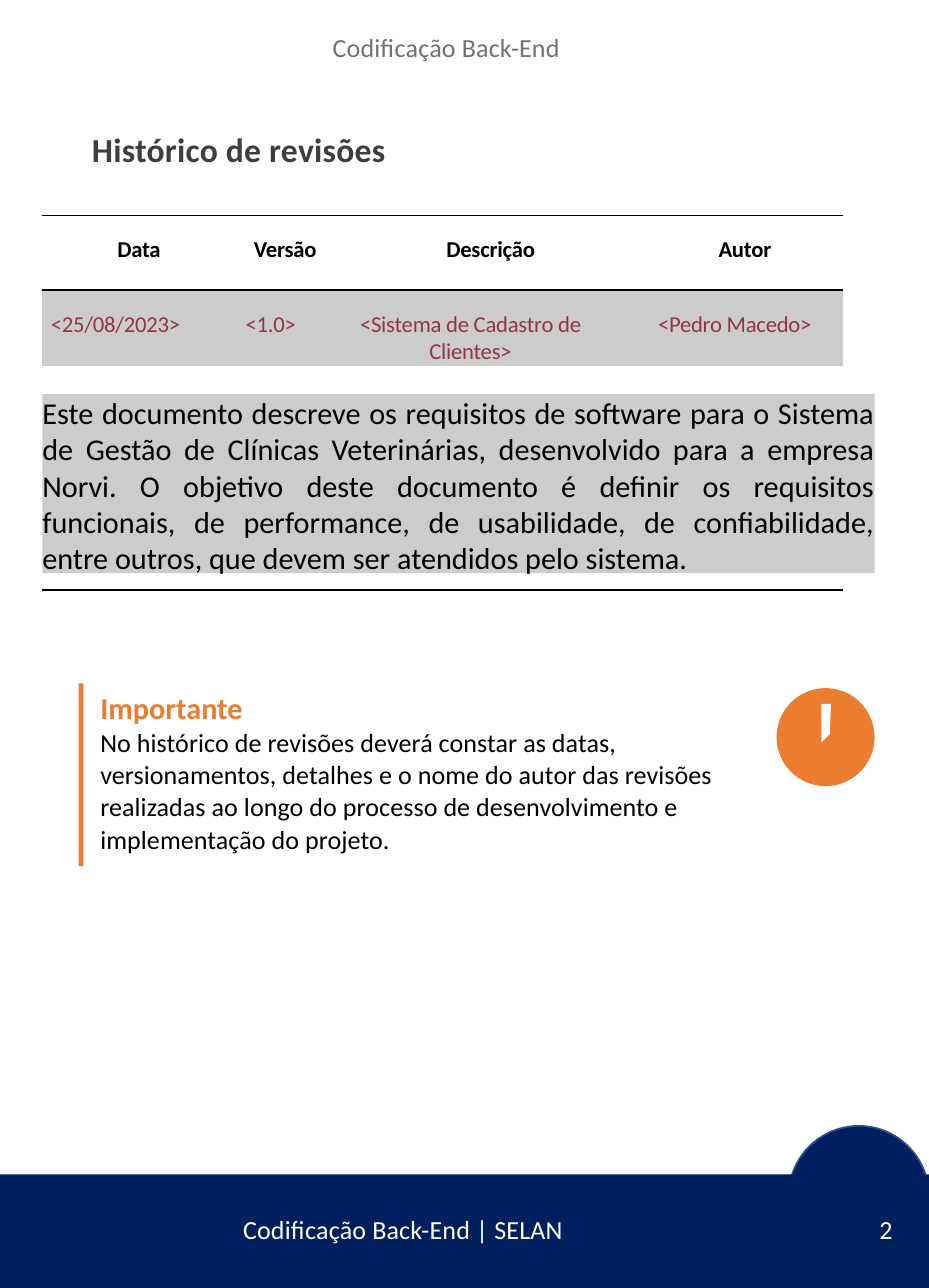
import pptx
import pptx.util
import pptx.dml.color
import pptx.enum.shapes
import pptx.enum.text
import pptx.oxml
import pptx.oxml.ns

Inches = pptx.util.Inches
Pt = pptx.util.Pt
RGB = pptx.dml.color.RGBColor
SHAPE = pptx.enum.shapes.MSO_SHAPE
ALIGN = pptx.enum.text.PP_ALIGN

NAVY = RGB(0x00, 0x1F, 0x5F)
EDGE = RGB(0x2E, 0x52, 0x8F)
ORANGE = RGB(0xEC, 0x7C, 0x30)
SILVER = RGB(0xCC, 0xCC, 0xCC)
GREY = RGB(0x76, 0x70, 0x70)
DARK = RGB(0x3E, 0x3E, 0x3E)
WINE = RGB(0x93, 0x35, 0x46)
BLACK = RGB(0, 0, 0)
WHITE = RGB(255, 255, 255)

WIDE, HIGH = 7.68, 10.65
LEFT = 0.35
COLS = [1.38, 1, 2.21, 2.03]
ROWS = [0.62, 0.63]

HEAD = ["Data", "Versão", "Descrição", "Autor"]
BODY = ["<25/08/2023>", "<1.0>", "<Sistema de Cadastro de Clientes>",
        "<Pedro Macedo>"]
PADS = [[0.62, 0.37, 0.96, 1], [0.07, 0.3, 0.11, 0.5]]
ABOUT = ("Este documento descreve os requisitos de software para o Sistema "
         "de Gestão de Clínicas Veterinárias, desenvolvido para a empresa "
         "Norvi. O objetivo deste documento é definir os requisitos "
         "funcionais, de performance, de usabilidade, de confiabilidade, "
         "entre outros, que devem ser atendidos pelo sistema.")
NOTE = ("No histórico de revisões deverá constar as datas, versionamentos, "
        "detalhes e o nome do autor das revisões realizadas ao longo do "
        "processo de desenvolvimento e implementação do projeto.")


def apply(item, form):
    for name, value in form.items():
        setattr(item, name, value)


def write(par, text, size, color, bold=False, space=0, **form):
    """Fill a paragraph with one run; space is tracking in points."""
    apply(par, form)
    run = par.add_run()
    run.text = text
    apply(run.font, {"name": "Calibri", "size": Pt(size), "bold": bold})
    run.font.color.rgb = color
    if space:
        run.font._element.set("spc", str(round(space * 100)))


def frame(shape):
    """Give a shape a wrapping text frame without margins."""
    body = shape.text_frame
    apply(body, {"word_wrap": True, "margin_left": 0, "margin_right": 0,
                 "margin_top": 0, "margin_bottom": 0,
                 "vertical_anchor": pptx.enum.text.MSO_ANCHOR.TOP})
    return body


def label(slide, x, y, w, h, *args, **form):
    box = slide.shapes.add_textbox(Inches(x), Inches(y), Inches(w), Inches(h))
    body = frame(box)
    write(body.paragraphs[0], *args, **form)
    return body


def paint(shape, fill, line=None):
    shape.shadow.inherit = False
    shape.fill.solid()
    shape.fill.fore_color.rgb = fill
    if line is None:
        shape.line.fill.background()
    else:
        shape.line.color.rgb = line
        shape.line.width = Pt(1)


def block(shapes, kind, x, y, w, h, fill, line=None):
    shape = shapes.add_shape(kind, Inches(x), Inches(y), Inches(w), Inches(h))
    paint(shape, fill, line)
    return shape


def rule(slide, x, y, w):
    line = slide.shapes.add_connector(
        pptx.enum.shapes.MSO_CONNECTOR.STRAIGHT,
        Inches(x), Inches(y), Inches(x + w), Inches(y))
    line.line.color.rgb = BLACK
    line.line.width = Pt(1)
    line._element.spPr.append(pptx.oxml.parse_xml(
        "<a:effectLst %s/>" % pptx.oxml.ns.nsdecls("a")))


def border(cell):
    """Draw a black top edge and clear the other three."""
    props = cell._tc.get_or_add_tcPr()
    for spot, side in enumerate(["lnL", "lnR", "lnT", "lnB"]):
        ink = "<a:noFill/>"
        if side == "lnT":
            ink = f'<a:solidFill><a:srgbClr val="{str(BLACK)}"/></a:solidFill>'
        props.insert(spot, pptx.oxml.parse_xml(
            '<a:%s w="12700" %s>%s</a:%s>'
            % (side, pptx.oxml.ns.nsdecls("a"), ink, side)))


def grid(slide):
    table = slide.shapes.add_table(
        2, 4, Inches(LEFT), Inches(1.78),
        Inches(sum(COLS)), Inches(sum(ROWS))).table
    apply(table, {"first_row": False, "horz_banding": False})
    for col, w in zip(table.columns, COLS):
        col.width = Inches(w)
    for row, h in zip(table.rows, ROWS):
        row.height = Inches(h)
    for r, texts in enumerate([HEAD, BODY]):
        for c, text in enumerate(texts):
            cell = table.cell(r, c)
            apply(cell, {"margin_left": Inches(PADS[r][c]), "margin_right": 0,
                         "margin_top": Inches(0.17), "margin_bottom": 0})
            if r:
                cell.fill.solid()
                cell.fill.fore_color.rgb = SILVER
            else:
                cell.fill.background()
            border(cell)
            mid = r == 1 and c == 2
            write(cell.text_frame.paragraphs[0], text, 13.5,
                  WINE if r else BLACK, not r, -0.1,
                  alignment=ALIGN.CENTER if mid else ALIGN.LEFT)


def badge(slide):
    shapes = slide.shapes.add_group_shape().shapes
    block(shapes, SHAPE.OVAL, 6.42, 5.69, 0.81, 0.81, ORANGE)
    pen = shapes.build_freeform(Inches(6.87), Inches(5.82))
    pen.add_line_segments([(Inches(x), Inches(y)) for x, y in
                           [(6.79, 5.82), (6.79, 6.14), (6.86, 6.07)]])
    paint(pen.convert_to_shape(), WHITE)


def main():
    deck = pptx.Presentation()
    apply(deck, {"slide_width": Inches(WIDE), "slide_height": Inches(HIGH)})
    slide = deck.slides.add_slide(deck.slide_layouts[6])
    shapes = slide.shapes

    # Footer band with its dome
    block(shapes, SHAPE.OVAL, 6.52, 9.31, 1.16, 1.16, NAVY, EDGE)
    block(shapes, SHAPE.RECTANGLE, 0, 9.71, WIDE, HIGH - 9.71, NAVY)
    label(slide, 2.01, 10.03, 2.8, 0.26, "Codificação Back-End | SELAN",
          15.5, WHITE, space=0.1)
    label(slide, 7.27, 10.03, 0.19, 0.26, "2", 15.5, WHITE)

    # Header and title
    label(slide, 2.75, 0.26, 2.2, 0.26, "Codificação Back-End", 15.5, GREY,
          space=0.1)
    label(slide, 0.76, 1.07, 3.9, 0.34, "Histórico de revisões", 20, DARK,
          True, 0.15)

    # Revision table and summary
    grid(slide)
    about = block(shapes, SHAPE.RECTANGLE, LEFT, 3.26, 6.88, 1.48, SILVER)
    write(frame(about).paragraphs[0], ABOUT, 18, BLACK,
          alignment=ALIGN.JUSTIFY)
    rule(slide, LEFT, 4.88, sum(COLS))

    # Important note
    block(shapes, SHAPE.RECTANGLE, 0.65, 5.65, 0.04, 1.51, ORANGE)
    note = label(slide, 0.83, 5.7, 5.3, 1.41, "Importante", 18, ORANGE, True)
    write(note.add_paragraph(), NOTE, 15.5, BLACK, space=0.05,
          line_spacing=1.03)
    badge(slide)

    deck.save("out.pptx")


main()
